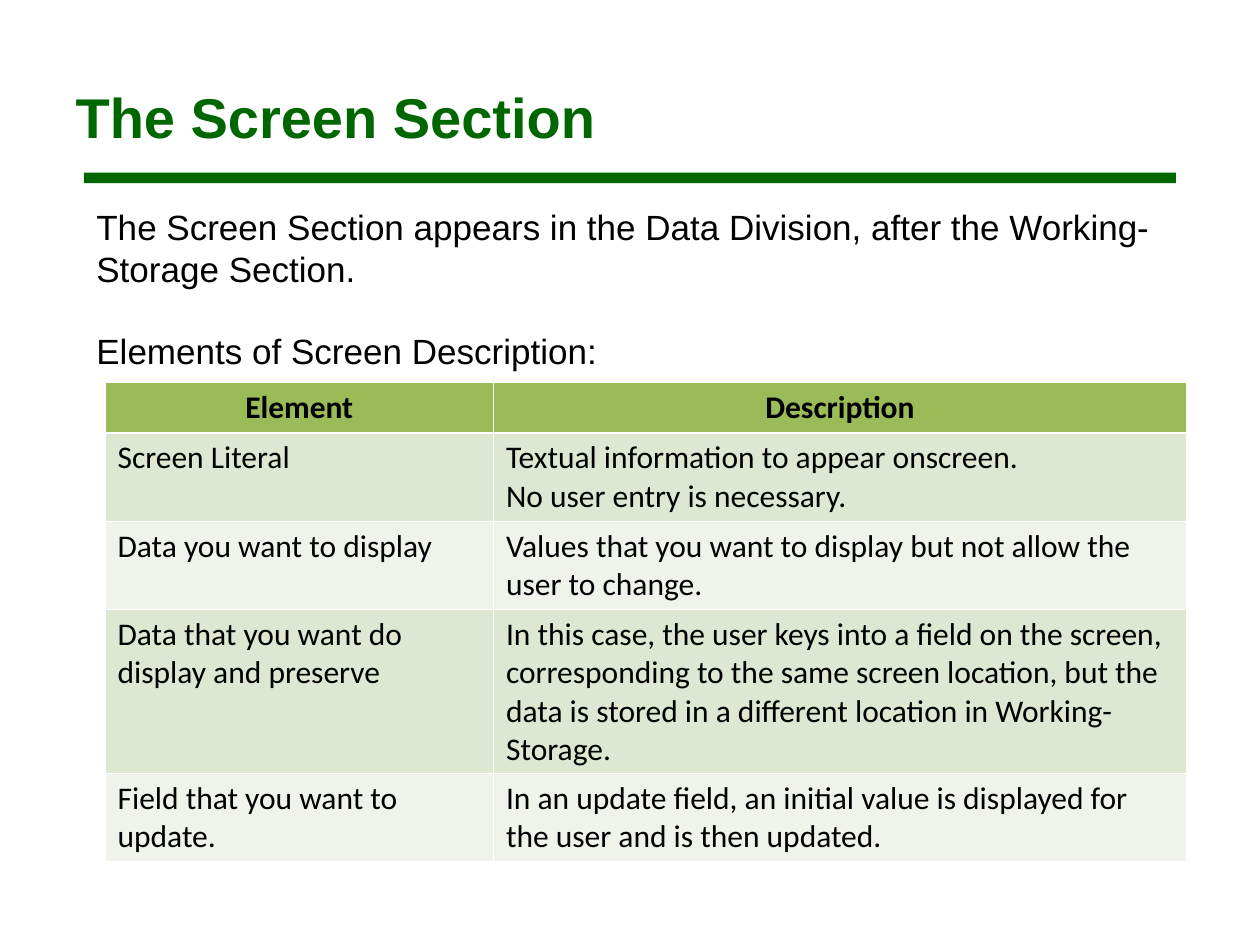
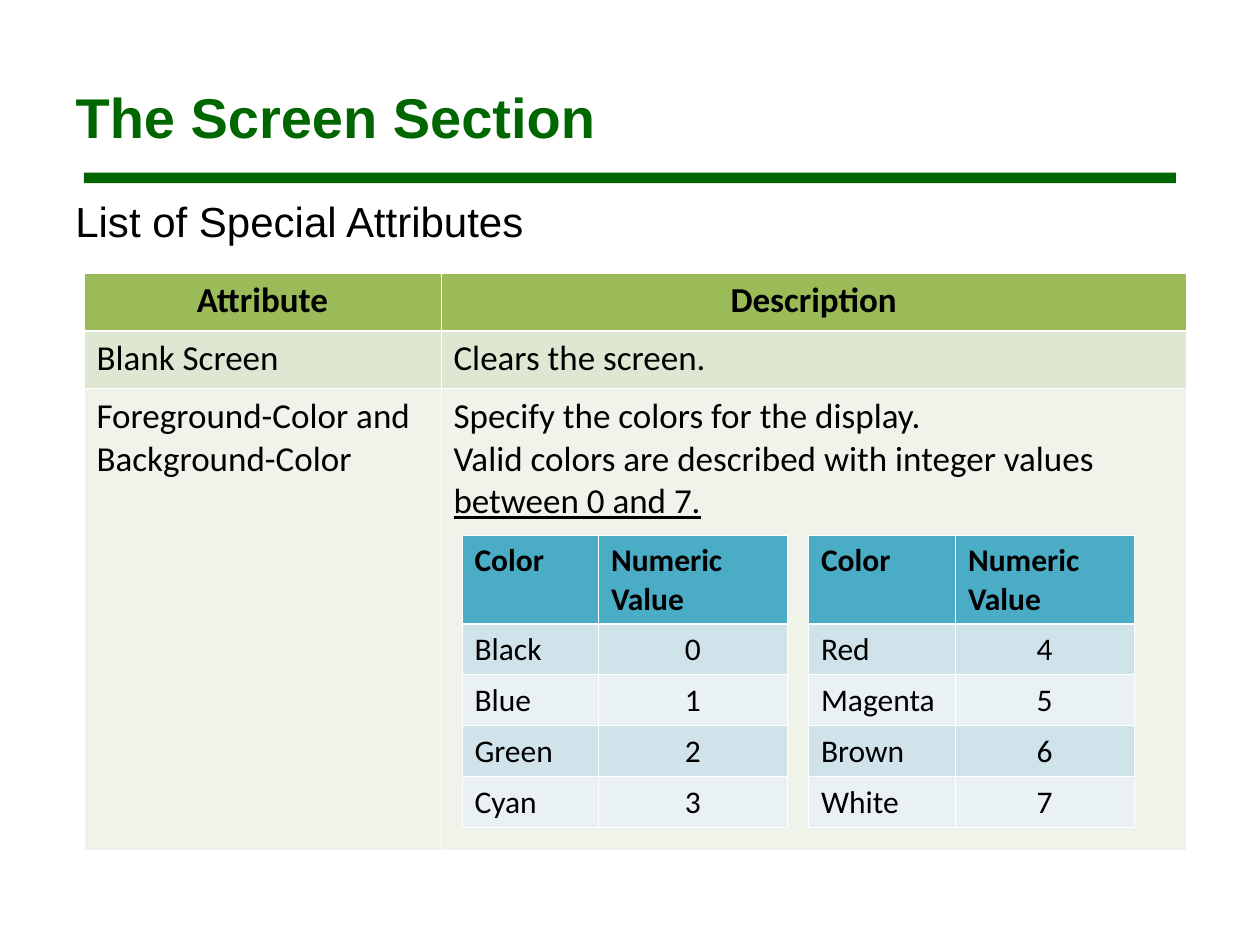
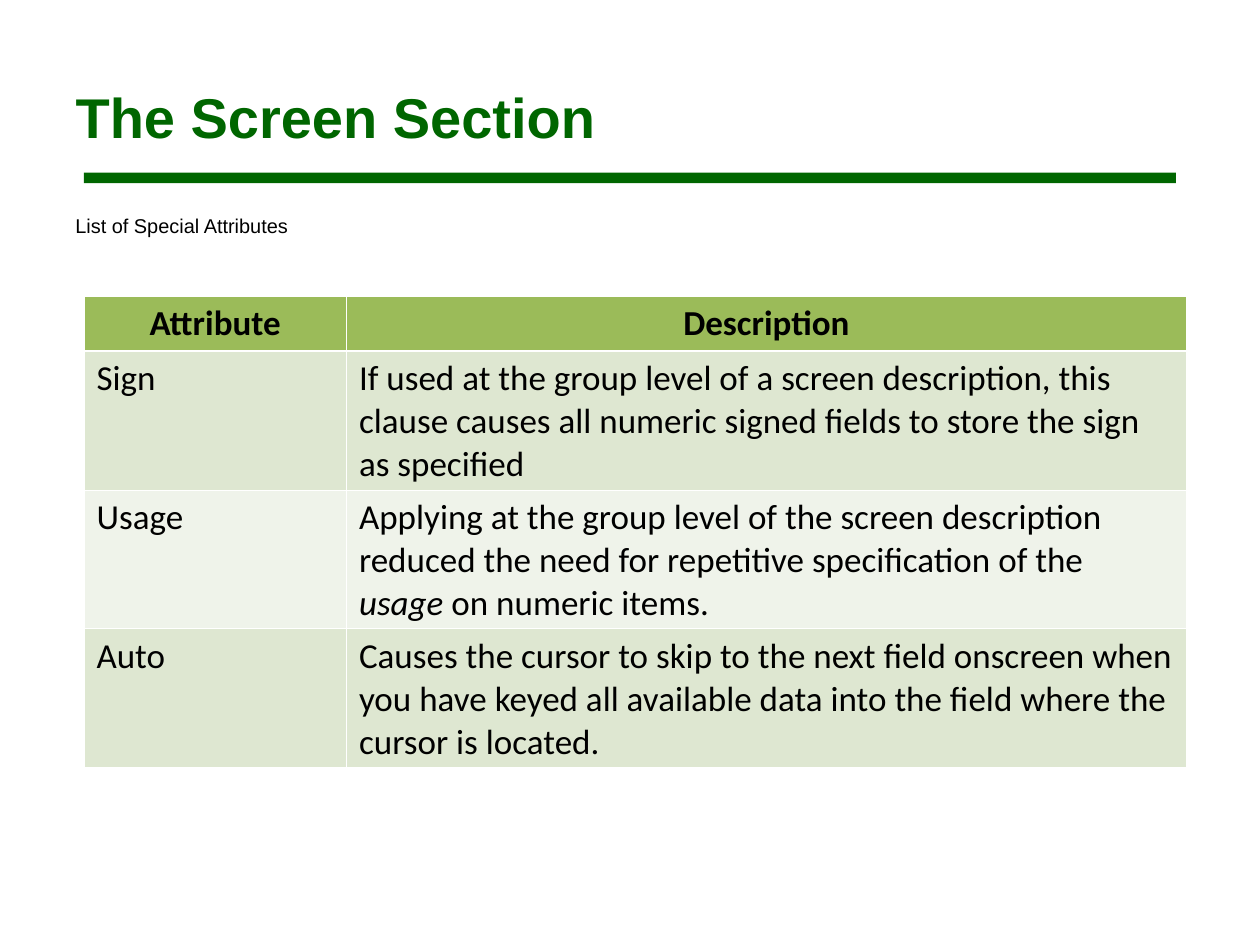
from lxml.etree import SubElement
from pptx import Presentation
from pptx.dml.color import RGBColor
from pptx.enum.shapes import MSO_SHAPE as Shape
from pptx.enum.text import MSO_ANCHOR as Anchor, MSO_AUTO_SIZE as AutoSize, PP_ALIGN as Align
from pptx.oxml.ns import qn
from pptx.util import Inches, Pt

# Shared style
DARK_GREEN = RGBColor(0x00, 0x66, 0x00)
BLACK = RGBColor(0x00, 0x00, 0x00)
WHITE = RGBColor(0xFF, 0xFF, 0xFF)
# Each palette: header, odd rows, even rows
GREENS = (RGBColor(0x9B, 0xBB, 0x59), RGBColor(0xDE, 0xE7, 0xD1), RGBColor(0xEF, 0xF3, 0xEA))
BLUES = (RGBColor(0x4B, 0xAC, 0xC6), RGBColor(0xD0, 0xE3, 0xEA), RGBColor(0xE9, 0xF1, 0xF5))
HEADING_FONT, TABLE_FONT = "Arial", "Calibri"
THIN, THICK = Pt(0.45), Pt(1.47)

# The grid has 120 columns and 90 rows on a 10 by 7.5 inch slide
COLUMNS = 120
WIDTH, HEIGHT = Inches(10), Inches(7.5)


def grid(*units):
    return [round(unit * WIDTH / COLUMNS) for unit in units]


def write(frame, paragraphs, size=20, font=HEADING_FONT, color=BLACK, bold=False,
          align=Align.LEFT, gap=0, line_spacing=None):
    """Fill a frame; a paragraph is a string or a list of (text, font attributes)."""
    if isinstance(paragraphs, str):
        paragraphs = [paragraphs]
    for index, content in enumerate(paragraphs):
        paragraph = frame.add_paragraph() if index else frame.paragraphs[0]
        paragraph.alignment = align
        paragraph.space_before = Pt(gap if index else 0)
        if line_spacing:
            paragraph.line_spacing = line_spacing
        runs = [(content, {})] if isinstance(content, str) else content
        for text, emphasis in runs:
            run = paragraph.add_run()
            run.text = text
            run.font.name, run.font.size, run.font.bold = font, Pt(size), bold
            run.font.color.rgb = color
            for attribute, value in emphasis.items():
                setattr(run.font, attribute, value)


def draw_borders(cell, row):
    """White rules, thick between the header and the first body row."""
    widths = {"a:lnL": THIN, "a:lnR": THIN,
              "a:lnT": THICK if row == 1 else THIN,
              "a:lnB": THICK if row == 0 else THIN}
    properties = cell._tc.get_or_add_tcPr()
    for position, (side, width) in enumerate(widths.items()):
        line = SubElement(properties, qn(side), w=str(int(width)))
        SubElement(SubElement(line, qn("a:solidFill")), qn("a:srgbClr"), val=str(WHITE))
        properties.insert(position, line)


class Deck:
    def __init__(self):
        self.presentation = Presentation()
        self.presentation.slide_width, self.presentation.slide_height = WIDTH, HEIGHT
        self.slide = None

    def add_slide(self, heading):
        self.slide = self.presentation.slides.add_slide(self.presentation.slide_layouts[5])
        band = self.slide.shapes.add_shape(Shape.RECTANGLE, *grid(8, 16.44, 104, 1))
        band.fill.solid()
        band.fill.fore_color.rgb = DARK_GREEN
        band.line.fill.background()
        band.shadow.inherit = False
        title = self.slide.shapes.title
        title.left, title.top, title.width, title.height = grid(6, 3.6, 108, 15)
        title.text_frame.vertical_anchor = Anchor.MIDDLE
        title.text_frame.auto_size = AutoSize.NONE
        write(title.text_frame, heading, size=32, color=DARK_GREEN, bold=True)

    def add_text(self, at, paragraphs, **style):
        frame = self.slide.shapes.add_textbox(*grid(*at)).text_frame
        frame.word_wrap = True
        write(frame, paragraphs, **style)

    def add_table(self, left, top, widths, heights, rows, palette=GREENS, size=20,
                  header_align=Align.CENTER, value_align=Align.LEFT):
        table = self.slide.shapes.add_table(
            len(rows), len(widths), *grid(left, top, sum(widths), sum(heights))).table
        for column, width in zip(table.columns, grid(*widths)):
            column.width = width
        for table_row, height in zip(table.rows, grid(*heights)):
            table_row.height = height
        header_fill, *body_fills = palette
        for r, row in enumerate(rows):
            for c, content in enumerate(row):
                cell = table.cell(r, c)
                cell.fill.solid()
                cell.fill.fore_color.rgb = body_fills[(r - 1) % 2] if r else header_fill
                draw_borders(cell, r)
                body_align = value_align if c else Align.LEFT
                write(cell.text_frame, content, size=size, font=TABLE_FONT, bold=r == 0,
                      align=body_align if r else header_align)


def main():
    deck = Deck()
    heading = "The Screen Section"
    subheading = "List of Special Attributes"
    attribute_header = ("Attribute", "Description")

    # Elements of a screen description
    deck.add_slide(heading)
    deck.add_text((8, 19, 104, 17.3), [
        "The Screen Section appears in the Data Division, after the Working-Storage Section.",
        "Elements of Screen Description:"], gap=23)
    deck.add_table(10, 36.4, (37, 66), (4.8, 8.4, 8.4, 15.6, 8.4), [
        ("Element", "Description"),
        ("Screen Literal",
         ["Textual information to appear onscreen.", "No user entry is necessary."]),
        ("Data you want to display",
         "Values that you want to display but not allow the user to change."),
        ("Data that you want do display and preserve",
         "In this case, the user keys into a field on the screen, corresponding to the same "
         "screen location, but the data is stored in a different location in Working-Storage."),
        ("Field that you want to update.",
         "In an update field, an initial value is displayed for the user and is then updated."),
    ], size=18)

    # Screen and color attributes
    deck.add_slide(heading)
    deck.add_text((6, 18, 108, 8), subheading, size=24)
    deck.add_table(8, 26, (34, 71), (5.5, 5.5, 44), [
        attribute_header,
        ("Blank Screen", "Clears the screen."),
        ("Foreground-Color and Background-Color",
         ["Specify the colors for the display.",
          [("Valid colors are described with integer values ", {}),
           ("between 0 and 7.", {"underline": True})]]),
    ])

    # Color codes, numbered on from one table to the next
    color_names = ["Black", "Blue", "Green", "Cyan", "Red", "Magenta", "Brown", "White"]
    codes = [(name, str(number)) for number, name in enumerate(color_names)]
    half = len(codes) // 2
    for left, widths, part in ((44, (13, 18), codes[:half]), (77, (14, 17), codes[half:])):
        deck.add_table(left, 51, widths, (8.4, *[4.86] * half),
                       [("Color", "Numeric Value"), *part], palette=BLUES, size=18,
                       header_align=Align.LEFT, value_align=Align.CENTER)

    # Field attributes
    deck.add_slide(heading)
    deck.add_text((6, 20.2, 108, 3.7), subheading, size=11.4, line_spacing=0.8)
    deck.add_table(8, 28.2, (25, 80), (5.25, 13.2, 13.2, 13.2), [
        attribute_header,
        ("Sign", "If used at the group level of a screen description, this clause causes all "
                 "numeric signed fields to store the sign as specified"),
        ("Usage", [[("Applying at the group level of the screen description reduced the need "
                     "for repetitive specification of the ", {}),
                    ("usage", {"italic": True}), (" on numeric items.", {})]]),
        ("Auto", "Causes the cursor to skip to the next field onscreen when you have keyed all "
                 "available data into the field where the cursor is located."),
    ])

    deck.presentation.save("out.pptx")


if __name__ == "__main__":
    main()
